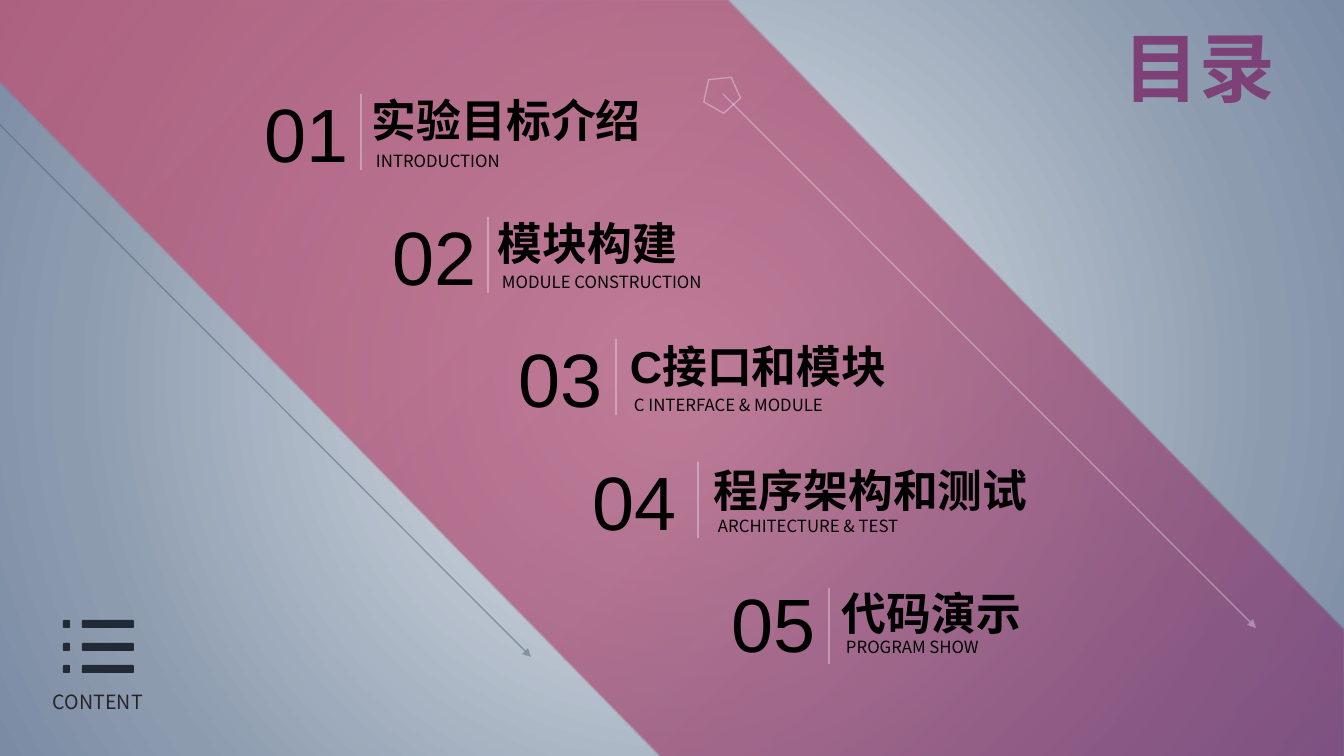
"""Build the agenda slide: a diagonal band with five numbered entries."""
from lxml import etree
from pptx import Presentation
from pptx import util as u
from pptx.dml.color import RGBColor
from pptx.enum import shapes, text
from pptx.oxml.ns import qn

SCALE = 12192000 / 1344
LATIN, CJK = "Arial", "Noto Sans CJK SC"
COLORS = {
    "title": "7D4178", "entry": "000000", "caption": "262626",
    "light": "FFFFFF", "slate": "536275", "icon": "222A35",
}
BACKGROUND_STOPS = [(0, "E4E9EF", 100), (78, "8C9BAE", 100), (100, "7B8BA4", 100)]
BAND_STOPS = [(0, "7D4178", 77), (45, "AB4A70", 68), (100, "C54F71", 68)]
ENTRIES = [
    ("01", "实验目标介绍", "INTRODUCTION", 231, 81, 361, 94, 362, 88, 361, 146, 157),
    ("02", "模块构建", "MODULE CONSTRUCTION", 359, 204, 488, 217, 488, 211, 412, 267, 240),
    ("03", "C接口和模块", "C INTERFACE & MODULE", 485, 326, 616, 339, 620, 334, 423, 390, 230),
    ("04", "程序架构和测试", "ARCHITECTURE & TEST", 559, 449, 698, 462, 704, 458, 368, 511, 214),
    ("05", "代码演示", "PROGRAM SHOW", 698, 571, 829, 588, 832, 581, 212, 632, 166),
]


def add_text(parent, box, content, size, font, color, bold=False, center=False, middle=True):
    """Add a text box with one formatted line."""
    shape = parent.add_textbox(*[round(value * SCALE) for value in box])
    frame = shape.text_frame
    frame.text = content
    frame.word_wrap = True
    frame.vertical_anchor = text.MSO_ANCHOR.MIDDLE if middle else text.MSO_ANCHOR.TOP
    paragraph = frame.paragraphs[0]
    paragraph.alignment = text.PP_ALIGN.CENTER if center else text.PP_ALIGN.LEFT
    run_font = paragraph.runs[0].font
    run_font.size, run_font.name, run_font.bold = u.Pt(size), font, bold
    run_font.color.rgb = RGBColor.from_string(COLORS[color])
    for properties in shape.element.iter(qn("a:rPr")):
        etree.SubElement(properties, qn("a:ea"), typeface=CJK)
    return shape


def style_line(shape, color, opacity, arrow=False):
    """Give a shape a thin translucent line without shadow."""
    shape.line.width = u.Pt(1)
    shape.line.color.rgb = RGBColor.from_string(COLORS[color])
    outline = shape.element.spPr.find(qn("a:ln"))
    for line_color in outline.iter(qn("a:srgbClr")):
        etree.SubElement(line_color, qn("a:alpha"), val=str(opacity * 1000))
    if arrow:
        etree.SubElement(outline, qn("a:tailEnd"), type="triangle")
    etree.SubElement(shape.element.spPr, qn("a:effectLst"))


presentation = Presentation()
presentation.slide_width = round(1344 * SCALE)
presentation.slide_height = round(756 * SCALE)
slide = presentation.slides.add_slide(presentation.slide_layouts[6])

builder = slide.shapes.build_freeform(0, 0, scale=SCALE)
builder.add_line_segments([(727, 0), (1344, 630), (1344, 756), (660, 756), (0, 83)])
band = builder.convert_to_shape()
band.shadow.inherit = False
band.line.fill.background()

background = slide.background
for fill, owner, stops, center in [
    (background.fill, slide.element.cSld.find(qn("p:bg")), BACKGROUND_STOPS, (50, 50, 50, 50)),
    (band.fill, band.element.spPr, BAND_STOPS, (100, 100, 0, 0)),
]:
    fill.gradient()
    if owner is None:
        owner = slide.element.cSld.find(qn("p:bg"))
    gradient = next(owner.iter(qn("a:gradFill")))
    for child in list(gradient):
        gradient.remove(child)
    stop_list = etree.SubElement(gradient, qn("a:gsLst"))
    for position, color, opacity in stops:
        stop = etree.SubElement(stop_list, qn("a:gs"), pos=str(position * 1000))
        stop_color = etree.SubElement(stop, qn("a:srgbClr"), val=color)
        if opacity < 100:
            etree.SubElement(stop_color, qn("a:alpha"), val=str(opacity * 1000))
    circle = etree.SubElement(gradient, qn("a:path"), {"path": "circle"})
    sides = {side: str(value * 1000) for side, value in zip("ltrb", center)}
    etree.SubElement(circle, qn("a:fillToRect"), sides)

add_text(slide.shapes, (1071, 15, 256, 102), "目录", 54, LATIN, "title", bold=True, center=True)
add_text(slide.shapes, (33, 685, 130, 34), "CONTENT", 14, CJK, "caption", center=True, middle=False)

for ends, color, opacity in [
    ((723, 94, 1256, 628), "light", 32),
    ((-2, 123, 531, 657), "slate", 50),
]:
    arrow = slide.shapes.add_connector(
        shapes.MSO_CONNECTOR.STRAIGHT, *[round(value * SCALE) for value in ends])
    style_line(arrow, color, opacity, arrow=True)

pentagon = slide.shapes.add_shape(
    shapes.MSO_SHAPE.REGULAR_PENTAGON, *[round(value * SCALE) for value in (704, 75, 37, 35)])
pentagon.rotation = 30
pentagon.fill.background()
style_line(pentagon, "light", 32)

for (number, title, subtitle, number_x, number_y, rule_x, rule_y,
     text_x, title_y, title_width, subtitle_y, subtitle_width) in ENTRIES:
    entry = slide.shapes.add_group_shape().shapes
    add_text(entry, (text_x, title_y, title_width, 64), title, 32, LATIN, "entry", bold=True)
    caption = add_text(entry, (text_x, subtitle_y, subtitle_width, 30), subtitle, 12, CJK,
                       "entry", middle=False)
    caption.text_frame.word_wrap = False
    caption.text_frame.margin_left = round(14 * SCALE)
    add_text(entry, (number_x, number_y, 151, 102), number, 54, LATIN, "entry", center=True)
    rule = entry.add_connector(
        shapes.MSO_CONNECTOR.STRAIGHT,
        *[round(value * SCALE) for value in (rule_x, rule_y, rule_x, rule_y + 76)])
    style_line(rule, "light", 49)

list_icon = slide.shapes.add_group_shape().shapes
for top in (620, 643, 665):
    for left, width in ((63, 7), (82, 52)):
        mark = list_icon.add_shape(
            shapes.MSO_SHAPE.ROUNDED_RECTANGLE,
            *[round(value * SCALE) for value in (left, top, width, 8)])
        mark.adjustments[0] = 0.15
        mark.shadow.inherit = False
        mark.fill.solid()
        mark.fill.fore_color.rgb = RGBColor.from_string(COLORS["icon"])
        mark.line.fill.background()

presentation.save("out.pptx")
